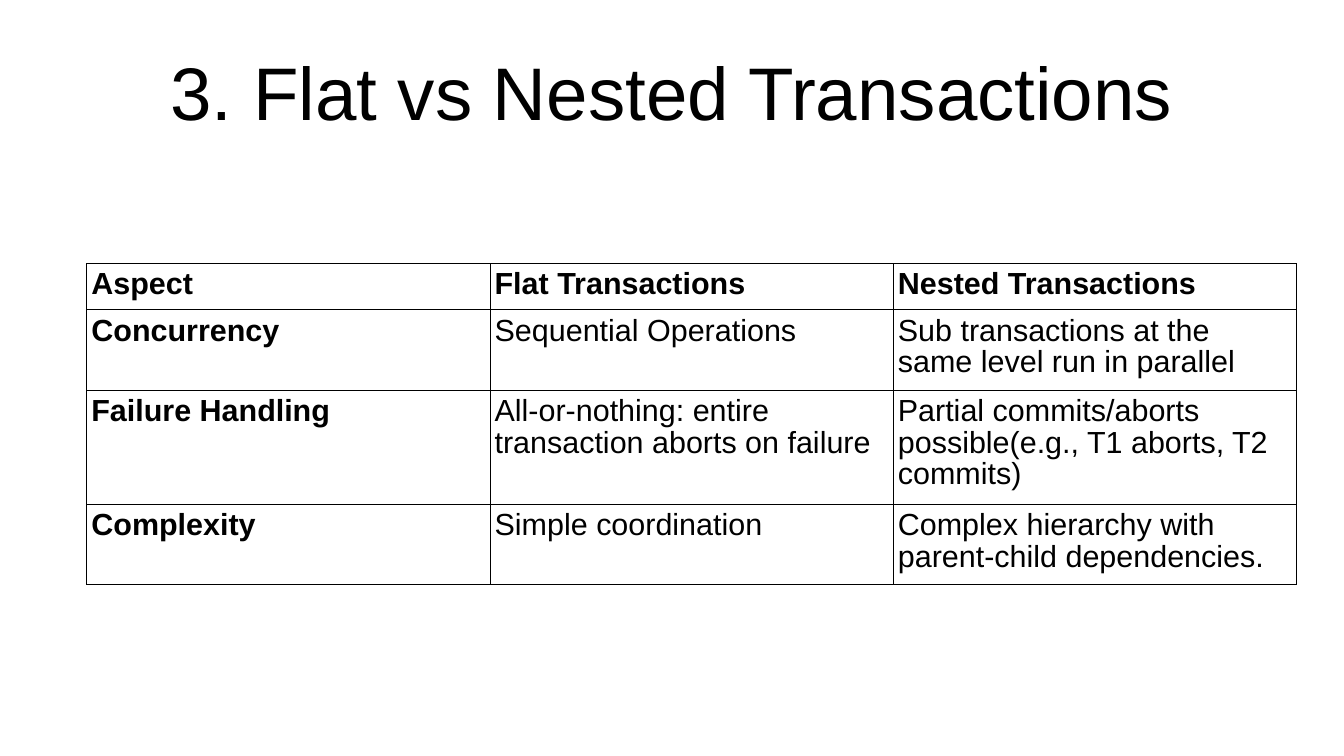
from dataclasses import dataclass

from lxml import etree
from pptx import Presentation
from pptx.dml.color import RGBColor
from pptx.enum import text
from pptx.oxml import ns
from pptx.util import Inches, Pt

TITLE = "3. Flat vs Nested Transactions"
COMPARISON = [
    ("Aspect", "Flat Transactions", "Nested Transactions"),
    ("Concurrency", "Sequential Operations",
     "Sub transactions at the same level run in parallel"),
    ("Failure Handling", "All-or-nothing: entire transaction aborts on failure",
     "Partial commits/aborts possible(e.g., T1 aborts, T2 commits)"),
    ("Complexity", "Simple coordination",
     "Complex hierarchy with parent-child dependencies."),
]
ROW_HEIGHTS = (0.38, 0.65, 0.93, 0.65)
CONTENT_WIDTH = 9.92


@dataclass(frozen=True)
class Theme:
    font: str = "Arial"
    ink: str = "000000"
    paper: str = "FFFFFF"
    title_size: float = 44
    body_size: float = 18
    line_spacing: float = 0.93
    paragraph_gap: float = 0.1
    border_width: float = 0.28


theme = Theme()


def write(frame, content, size, bold=False, align=text.PP_ALIGN.LEFT):
    paragraph = frame.paragraphs[0]
    paragraph.alignment = align
    paragraph.line_spacing = theme.line_spacing
    paragraph.space_before = paragraph.space_after = Pt(theme.paragraph_gap)
    run = paragraph.add_run()
    run.text = content
    run.font.name = theme.font
    run.font.size = Pt(size)
    run.font.bold = bold
    run.font.color.rgb = RGBColor.from_string(theme.ink)


def set_margins(target, horizontal, top, bottom):
    target.margin_left = target.margin_right = Inches(horizontal)
    target.margin_top = Inches(top)
    target.margin_bottom = Inches(bottom)


def add_borders(cell):
    properties = cell._tc.get_or_add_tcPr()
    for position, side in enumerate(("lnL", "lnR", "lnT", "lnB")):
        line = etree.Element(ns.qn(f"a:{side}"), w=str(Pt(theme.border_width)))
        fill = etree.SubElement(line, ns.qn("a:solidFill"))
        etree.SubElement(fill, ns.qn("a:srgbClr"), val=theme.ink)
        properties.insert(position, line)


def add_title(slide):
    shape = slide.shapes.add_textbox(
        Inches(0.55), Inches(0.25), Inches(CONTENT_WIDTH), Inches(1.03))
    frame = shape.text_frame
    frame.word_wrap = True
    frame.vertical_anchor = text.MSO_ANCHOR.MIDDLE
    set_margins(frame, 0, 0.04, 0)
    write(frame, TITLE, theme.title_size, align=text.PP_ALIGN.CENTER)


def add_comparison(slide):
    table = slide.shapes.add_table(
        len(COMPARISON), len(COMPARISON[0]), Inches(0.71), Inches(2.16),
        Inches(CONTENT_WIDTH), Inches(sum(ROW_HEIGHTS))).table
    table.first_row = table.horz_banding = False
    for row, height in zip(table.rows, ROW_HEIGHTS):
        row.height = Inches(height)
    for row_index, entries in enumerate(COMPARISON):
        for column_index, entry in enumerate(entries):
            cell = table.cell(row_index, column_index)
            set_margins(cell, 0.04, 0.05, 0.05)
            cell.fill.solid()
            cell.fill.fore_color.rgb = RGBColor.from_string(theme.paper)
            add_borders(cell)
            is_heading = row_index == 0 or column_index == 0
            write(cell.text_frame, entry, theme.body_size, bold=is_heading)


presentation = Presentation()
presentation.slide_width = Inches(11.02)
presentation.slide_height = Inches(6.2)
slide = presentation.slides.add_slide(presentation.slide_layouts[6])
add_title(slide)
add_comparison(slide)
presentation.save("out.pptx")
